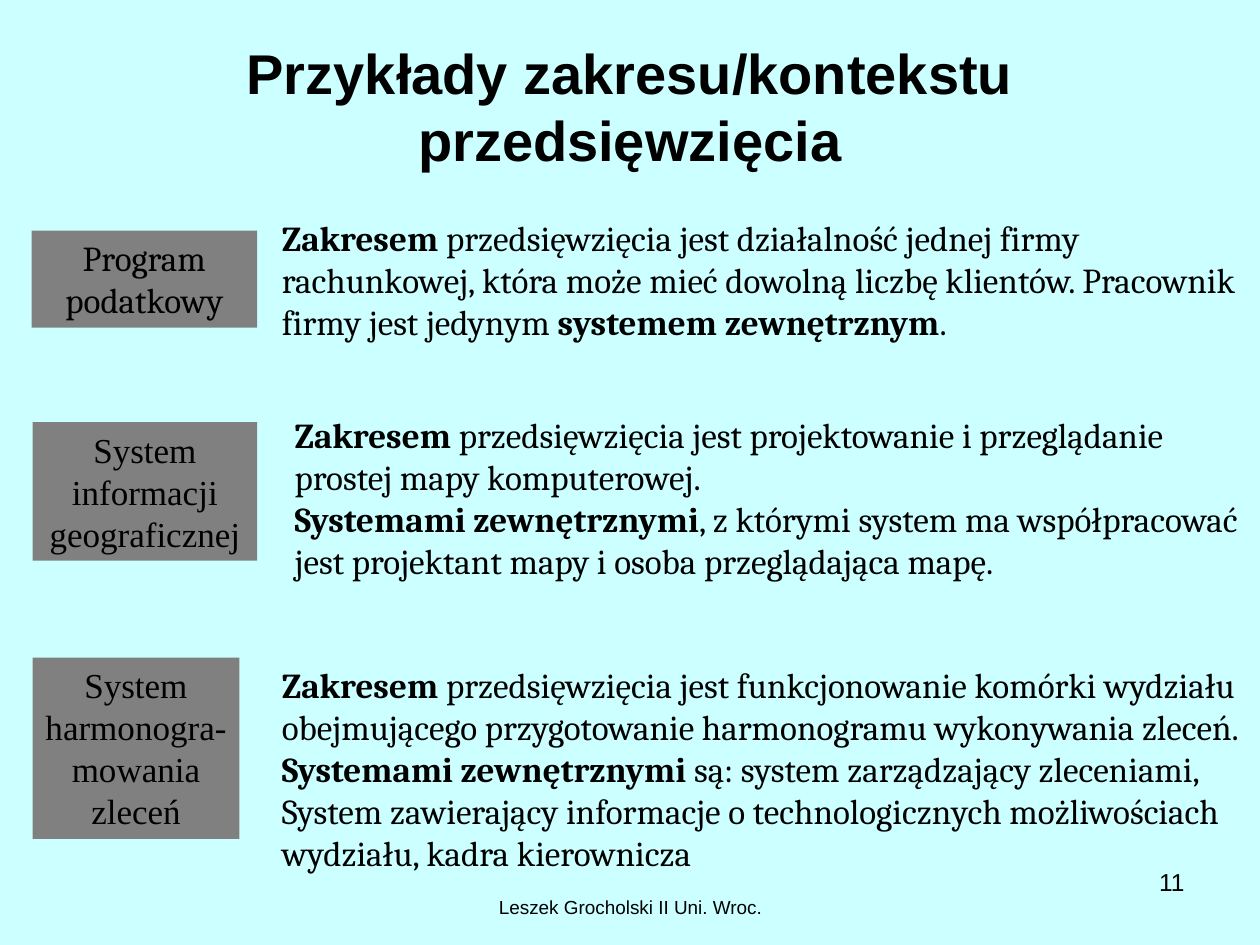
import pptx
import pptx.util
import pptx.dml.color
import pptx.enum.shapes
import pptx.enum.text

Pt = pptx.util.Pt
ALIGN = pptx.enum.text.PP_ALIGN
ANCHOR = pptx.enum.text.MSO_ANCHOR

# Content: ** marks the switch between plain and bold
TITLE = "Przykłady zakresu/kontekstu przedsięwzięcia"
ROWS = [
    {"label": ["Program", "podatkowy"], "font": "Cambria",
     "box": (18, 131.8, 129, 55.4), "area": (154, 120.2, 566, 104),
     "text": ["**Zakresem** przedsięwzięcia jest działalność jednej firmy "
              "rachunkowej, która może mieć dowolną liczbę klientów. Pracownik "
              "firmy jest jedynym **systemem zewnętrznym**."]},
    {"label": ["System", "informacji", "geograficznej"],
     "font": "Times New Roman",
     "box": (18.7, 241.2, 128.2, 79.2), "area": (161.3, 232.6, 553.7, 104),
     "text": ["**Zakresem** przedsięwzięcia jest projektowanie i przeglądanie "
              "prostej mapy komputerowej.",
              "**Systemami zewnętrznymi**, z którymi system ma współpracować "
              "jest projektant mapy i osoba przeglądająca mapę."]},
    {"label": ["System", "harmonogra-", "mowania", "zleceń"],
     "font": "Times New Roman",
     "box": (18.7, 375.8, 118.1, 103.7), "area": (154, 375.8, 565.2, 127.4),
     "text": ["**Zakresem** przedsięwzięcia jest funkcjonowanie komórki wydziału "
              "obejmującego przygotowanie harmonogramu wykonywania zleceń.",
              "**Systemami zewnętrznymi** są: system zarządzający zleceniami, "
              "System zawierający informacje o technologicznych możliwościach "
              "wydziału, kadra kierownicza"]},
]
NOTES = [
    ("Leszek Grocholski II Uni. Wroc.", (246.2, 508.3, 228.2, 20.9), 10.8, ALIGN.CENTER),
    ("11", (516.2, 491.8, 167.8, 37.4), 14, ALIGN.RIGHT),
]
COLORS = {"back": "CCFFFF", "box": "808080", "text": "000000"}
LEADING = 1.2


def color(name):
    return pptx.dml.color.RGBColor.from_string(COLORS[name])


def write(shape, lines, font, size, align, anchor=ANCHOR.TOP, wrap=True):
    frame = shape.text_frame
    frame.word_wrap = wrap
    frame.vertical_anchor = anchor
    for i, line in enumerate(lines):
        para = frame.paragraphs[0] if i == 0 else frame.add_paragraph()
        para.alignment = align
        para.line_spacing = Pt(size * LEADING)
        para.space_before = Pt(0)
        para.font.name = font
        para.font.size = Pt(size)
        para.font.color.rgb = color("text")
        for j, part in enumerate(line.split("**")):
            if part:
                run = para.add_run()
                run.text = part
                if j % 2:
                    run.font.bold = True


def place(area):
    return [Pt(x) for x in area]


deck = pptx.Presentation()
deck.slide_width, deck.slide_height = Pt(720), Pt(540)
slide = deck.slides.add_slide(deck.slide_layouts[5])
slide.background.fill.solid()
slide.background.fill.fore_color.rgb = color("back")
shapes = slide.shapes

# Title
title = shapes.title
title.left, title.top, title.width, title.height = place((36, 9.4, 648, 102.2))
write(title, ["**" + TITLE + "**"], "Arial", 32, ALIGN.CENTER, ANCHOR.MIDDLE)

# Footer and slide number
for text, area, size, align in NOTES:
    write(shapes.add_textbox(*place(area)), [text], "Arial", size, align)

# Examples: grey label and its description
for row in ROWS:
    box = shapes.add_shape(pptx.enum.shapes.MSO_SHAPE.RECTANGLE, *place(row["box"]))
    box.shadow.inherit = False
    box.fill.solid()
    box.fill.fore_color.rgb = color("box")
    box.line.fill.background()
    write(box, row["label"], row["font"], 20, ALIGN.CENTER, wrap=row is not ROWS[-1])
    write(shapes.add_textbox(*place(row["area"])), row["text"], "Cambria", 20, ALIGN.LEFT)

deck.save("out.pptx")
